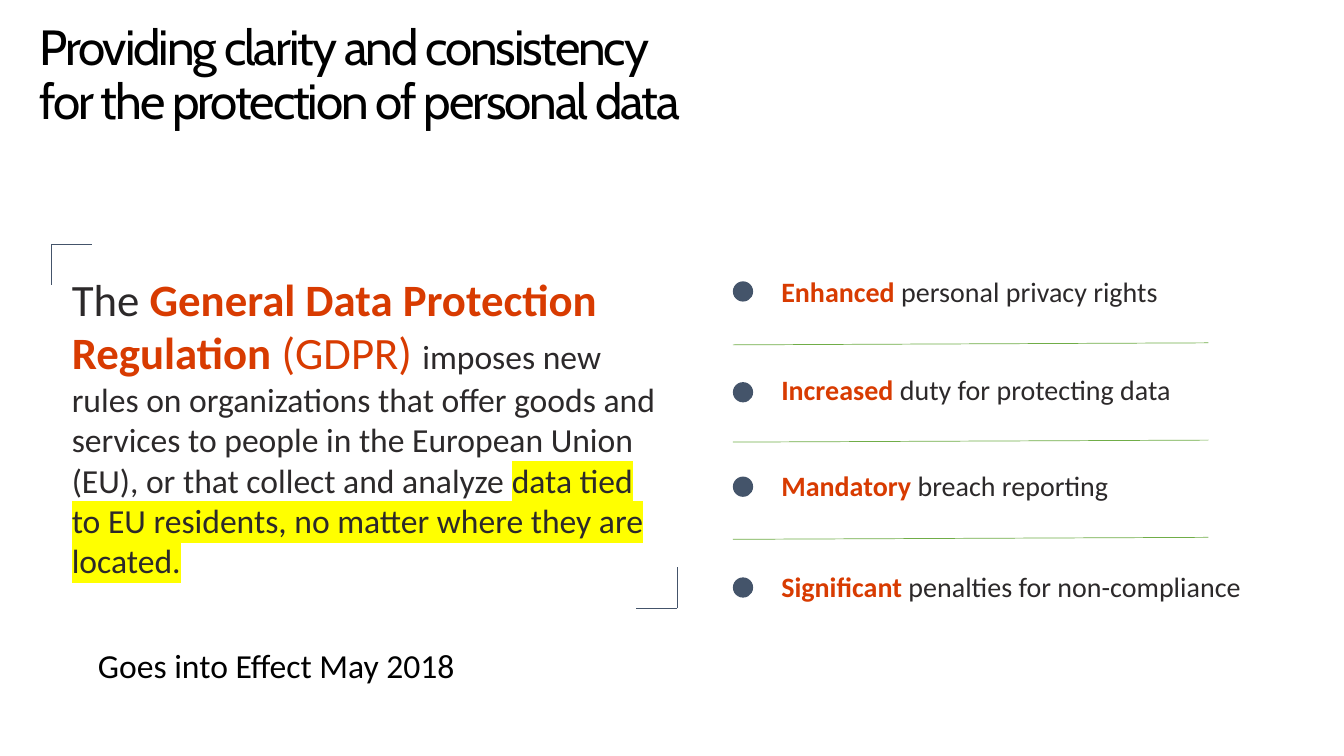
from lxml import etree
from pptx import Presentation
from pptx.dml.color import RGBColor
from pptx.enum.shapes import MSO_CONNECTOR, MSO_SHAPE
from pptx.enum.text import MSO_ANCHOR, MSO_AUTO_SIZE, PP_ALIGN
from pptx.oxml.ns import qn
from pptx.util import Cm, Pt

STRAIGHT = MSO_CONNECTOR.STRAIGHT
OVAL = MSO_SHAPE.OVAL
MIDDLE, TOP = MSO_ANCHOR.MIDDLE, MSO_ANCHOR.TOP
FIT_SHAPE, FIT_NONE = MSO_AUTO_SIZE.SHAPE_TO_FIT_TEXT, MSO_AUTO_SIZE.NONE
LEFT = PP_ALIGN.LEFT

BLACK, INK, ACCENT = "000000", "2C292A", "D83B01"
SLATE, GREEN, YELLOW = "44546A", "70AD47", "FFFF00"


def rgb(value):
    return RGBColor.from_string(value)


class SlideBuilder:
    """Holds the fonts and the current slide and adds its elements."""

    head_font = "Cabin"
    body_font = "Calibri"

    def __init__(self, s):
        self.s = s

    def style(self, r, font, size, color, bold=False, highlight=None):
        r.font.name = font
        r.font.size = Pt(size)
        r.font.bold = bold
        r.font.color.rgb = rgb(color)
        if highlight:
            mark = etree.Element(qn("a:highlight"))
            etree.SubElement(mark, qn("a:srgbClr")).set("val", highlight)
            r.font._element.find(qn("a:solidFill")).addnext(mark)

    def title(self, text, left, top, width, height):
        sp = self.s.shapes.title
        sp.left, sp.top, sp.width, sp.height = Cm(left), Cm(top), Cm(width), Cm(height)
        tf = sp.text_frame
        tf.text = text
        tf.word_wrap = True
        tf.auto_size = FIT_NONE
        tf.vertical_anchor = MIDDLE
        p = tf.paragraphs[0]
        p.alignment = LEFT
        p.line_spacing = 0.9
        for r in p.runs:
            self.style(r, self.head_font, 35.3, BLACK)
            r.font._element.set("spc", "-150")

    def text(self, parts, left, top, width, height, line_spacing=0.9, space_after=6):
        sp = self.s.shapes.add_textbox(Cm(left), Cm(top), Cm(width), Cm(height))
        tf = sp.text_frame
        tf.word_wrap = True
        tf.auto_size = FIT_SHAPE
        tf.vertical_anchor = TOP
        tf.margin_left = tf.margin_right = Cm(0.51)
        tf.margin_top = tf.margin_bottom = Cm(0.41)
        p = tf.paragraphs[0]
        p.line_spacing = line_spacing
        p.space_after = Pt(space_after)
        for content, *look in parts:
            r = p.add_run()
            r.text = content
            self.style(r, self.body_font, *look)

    def line(self, x1, y1, x2, y2, color):
        sp = self.s.shapes.add_connector(STRAIGHT, Cm(x1), Cm(y1), Cm(x2), Cm(y2))
        sp.line.color.rgb = rgb(color)
        sp.line.width = Pt(0.5)
        etree.SubElement(sp._element.spPr, qn("a:effectLst"))

    def bracket(self, x, y, arm):
        self.line(x, y, x, y + arm, SLATE)
        self.line(x, y, x + arm, y, SLATE)

    def dot(self, left, top, size):
        sp = self.s.shapes.add_shape(OVAL, Cm(left), Cm(top), Cm(size), Cm(size))
        sp.shadow.inherit = False
        sp.fill.solid()
        sp.fill.fore_color.rgb = rgb(SLATE)
        sp.line.fill.background()


def main():
    prs = Presentation()
    prs.slide_width, prs.slide_height = Cm(33.87), Cm(19.05)
    b = SlideBuilder(prs.slides.add_slide(prs.slide_layouts[5]))

    b.title("Providing clarity and consistency \vfor the protection of personal data",
            0.74, 0.81, 32.39, 2.24)

    b.bracket(1.29, 6.15, 1.03)
    b.bracket(17.07, 15.32, -1.03)

    benefits = [
        ("Enhanced", " personal privacy rights", 6.63, 12.6, 7.09),
        ("Increased", " duty for protecting data", 9.09, 14.53, 9.63),
        ("Mandatory ", "breach reporting", 11.53, 11.28, 12.01),
        ("Significant ", "penalties for non-compliance", 14.07, 14.02, 14.55),
    ]
    for lead, rest, top, width, dot_top in benefits:
        b.text([(lead, 20, ACCENT, True), (rest, 20, INK)], 19.18, top, width, 1.6)
        b.dot(18.47, dot_top, 0.51)

    for i in range(len(benefits) - 1):
        y = 8.69 + 2.45 * i
        b.line(18.47, y, 30.45, y - 0.05, GREEN)

    b.text([
        ("The ", 32, INK),
        ("General Data Protection Regulation ", 32, ACCENT, True),
        ("(GDPR) ", 32, ACCENT),
        ("imposes new rules on organizations that offer goods and services to people "
         "in the European Union (EU), or that collect and analyze ", 24, INK),
        ("data tied to EU residents, no matter where they are located.",
         24, INK, False, YELLOW),
    ], 1.3, 6.43, 15.98, 8.66, line_spacing=1.0, space_after=0)

    b.text([("Goes into Effect May 2018", 24, BLACK)], 1.96, 15.95, 11.94, 1.75)

    prs.save("out.pptx")


if __name__ == "__main__":
    main()
